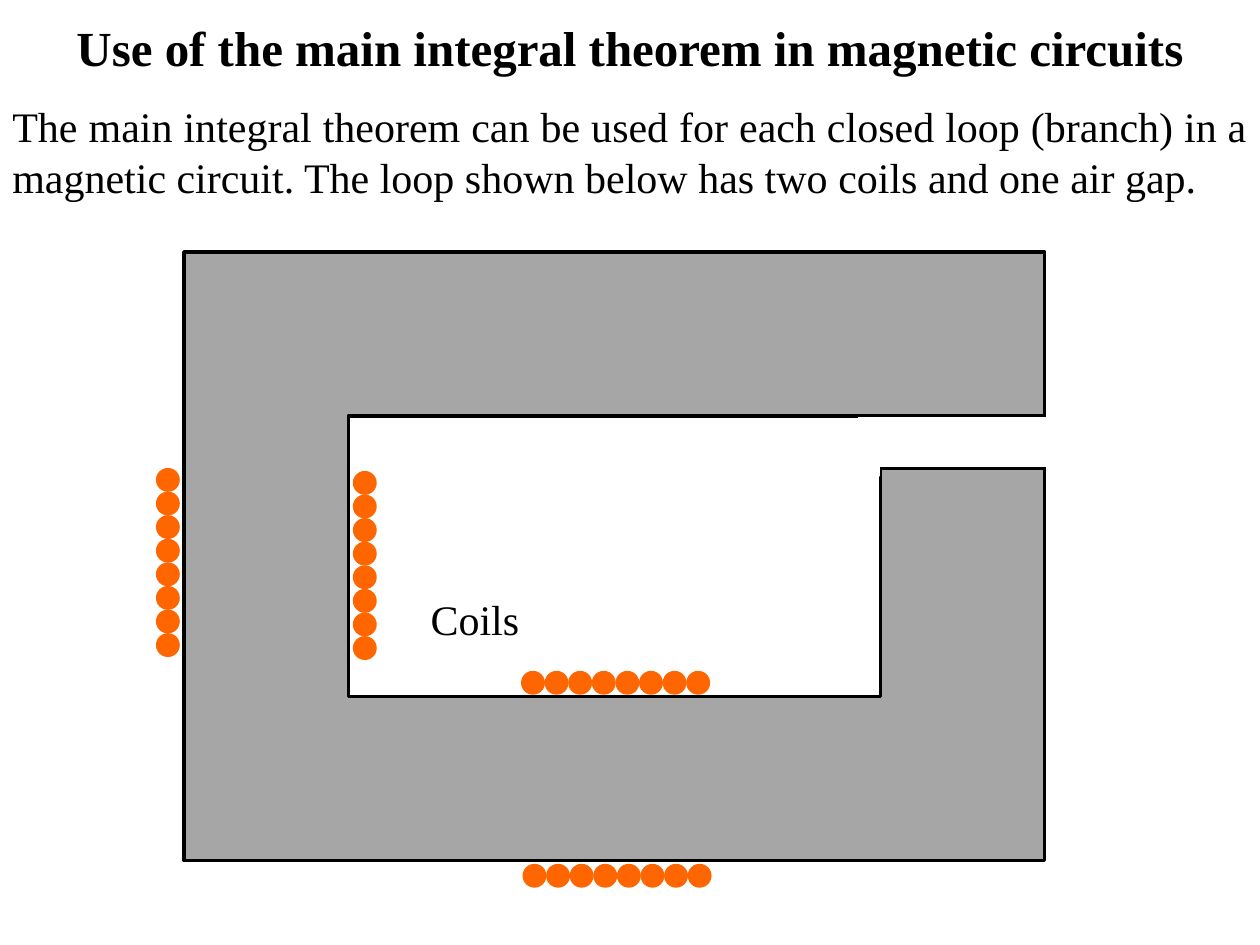
import pptx
import pptx.util
import pptx.dml.color
import pptx.enum.shapes
import pptx.enum.text

Cm = pptx.util.Cm
Pt = pptx.util.Pt
KIND = pptx.enum.shapes.MSO_SHAPE
ALIGN = pptx.enum.text.PP_ALIGN
HUES = {"ink": "000000", "iron": "A6A6A6", "gap": "FFFFFF", "wire": "FF6600"}
FONT = "Times New Roman"
TURNS = 8
SPAN = 3.33
WIDTH = 0.41


def hue(name):
    """Return the named colour."""
    return pptx.dml.color.RGBColor.from_string(HUES[name])


def write(slide, box, text, size, align, bold=False):
    """Add a wrapped text box holding one run."""
    frame = slide.shapes.add_textbox(*map(Cm, box)).text_frame
    frame.word_wrap = True
    frame.auto_size = pptx.enum.text.MSO_AUTO_SIZE.SHAPE_TO_FIT_TEXT
    para = frame.paragraphs[0]
    para.alignment = align
    run = para.add_run()
    run.text = text
    run.font.name = FONT
    run.font.size = Pt(size)
    run.font.bold = bold
    run.font.color.rgb = hue("ink")


def draw(group, kind, box, fill, line):
    """Add a flat filled shape with a 2 pt outline."""
    shape = group.shapes.add_shape(kind, *map(Cm, box))
    shape.shadow.inherit = False
    shape.fill.solid()
    shape.fill.fore_color.rgb = hue(fill)
    shape.line.color.rgb = hue(line)
    shape.line.width = Pt(2)
    return shape


def core(slide):
    """Draw the iron core and cut its air gap."""
    group = slide.shapes.add_group_shape()
    iron = draw(group, KIND.FRAME, (3.71, 5.08, 17.35, 12.27), "iron", "ink")
    iron.adjustments[0] = 0.27
    draw(group, KIND.RECTANGLE, (17.27, 8.38, 4.45, 1.07), "gap", "ink")
    draw(group, KIND.RECTANGLE, (15.6, 8.46, 2.11, 1.12), "gap", "gap")
    draw(group, KIND.RECTANGLE, (21.13, 8.33, 2.11, 1.42), "gap", "gap")


def coil(slide, left, top, across):
    """Draw one evenly spaced row or column of wire turns."""
    group = slide.shapes.add_group_shape()
    for turn in range(TURNS):
        step = turn * SPAN / (TURNS - 1)
        x, y = (left + step, top) if across else (left, top + step)
        draw(group, KIND.OVAL, (x, y, WIDTH, WIDTH), "wire", "wire")


def main():
    """Build and save the slide."""
    deck = pptx.Presentation()
    deck.slide_width, deck.slide_height = Cm(25.4), Cm(19.05)
    slide = deck.slides.add_slide(deck.slide_layouts[6])
    write(slide, (0, 0.23, 25.4, 1.45),
          "Use of the main integral theorem in magnetic circuits",
          28, ALIGN.CENTER, True)
    write(slide, (0, 1.91, 25.4, 2.31),
          "The main integral theorem can be used for each closed loop (branch) "
          "in a magnetic circuit. The loop shown below has two coils and one "
          "air gap.", 24, ALIGN.JUSTIFY)
    core(slide)
    coil(slide, 3.18, 9.47, False)
    coil(slide, 7.15, 9.53, False)
    coil(slide, 10.54, 13.56, True)
    coil(slide, 10.57, 17.45, True)
    write(slide, (8.43, 11.84, 2.34, 1.27), "Coils", 24, ALIGN.JUSTIFY)
    deck.save("out.pptx")


if __name__ == "__main__":
    main()
